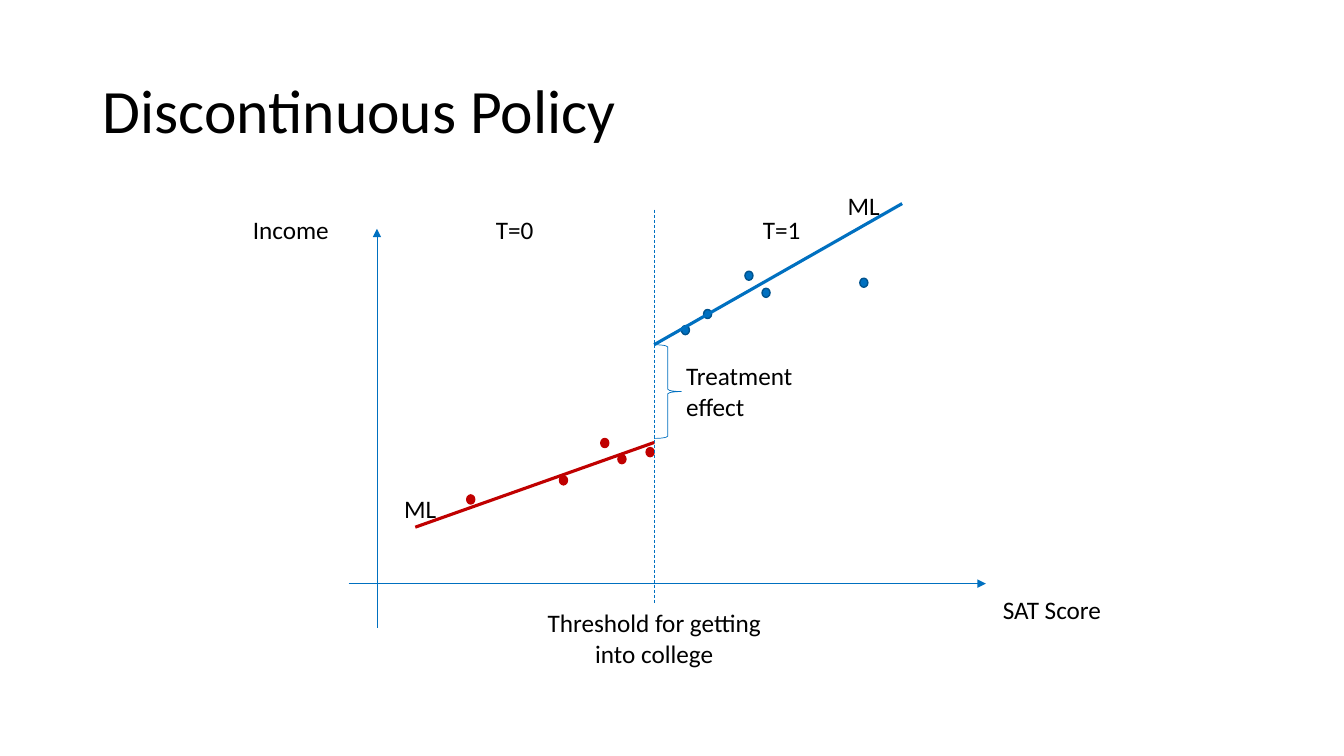
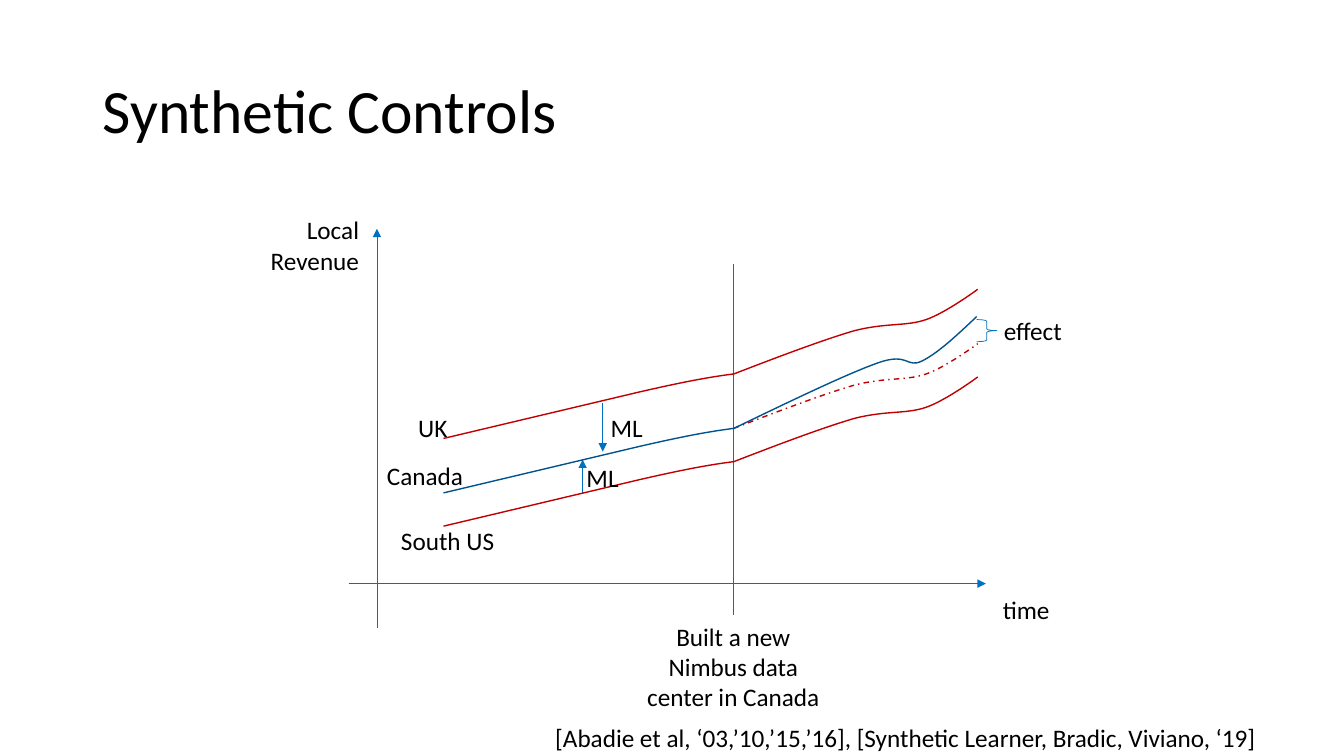
from lxml.etree import SubElement
from pptx import Presentation
from pptx.dml.color import RGBColor
from pptx.enum.dml import MSO_LINE
from pptx.enum.shapes import MSO_CONNECTOR, MSO_SHAPE
from pptx.enum.text import MSO_ANCHOR, PP_ALIGN
from pptx.oxml.ns import qn
from pptx.util import Pt

PX = 9144
FONT = "Calibri"
BLACK, BLUE, NAVY, RED = "000000", "0070C0", "00538E", "C00000"
LEFT, CENTER, RIGHT = PP_ALIGN.LEFT, PP_ALIGN.CENTER, PP_ALIGN.RIGHT
LINE_HEIGHT = 40
color = RGBColor.from_string


def write(page, text, left, top, width, height, align=LEFT, size=18):
    box = page.shapes.add_textbox(left * PX, top * PX, width * PX, height * PX)
    box.text_frame.word_wrap = width > 120
    para = box.text_frame.paragraphs[0]
    para.alignment = align
    span = para.add_run()
    span.text = text
    span.font.name = FONT
    span.font.size = Pt(size)
    span.font.color.rgb = color(BLACK)
    return box


def connect(page, x1, y1, x2, y2, hue=BLUE, weight=0.5, dash=None, arrow=False):
    connector = page.shapes.add_connector(
        MSO_CONNECTOR.STRAIGHT, x1 * PX, y1 * PX, x2 * PX, y2 * PX)
    connector.line.color.rgb = color(hue)
    connector.line.width = Pt(weight)
    if dash:
        connector.line.dash_style = dash
    properties = connector._element.spPr
    if arrow:
        SubElement(properties.find(qn("a:ln")), qn("a:tailEnd"), type="triangle")
    SubElement(properties, qn("a:effectLst"))


deck = Presentation()
deck.slide_width, deck.slide_height = 4000 * PX // 3, 750 * PX

pages = []
for title in ("Discontinuous Policy", "Synthetic Controls"):
    page = deck.slides.add_slide(deck.slide_layouts[6])
    heading = write(page, title, 92, 40, 1150, 145, size=44).text_frame
    heading.vertical_anchor = MSO_ANCHOR.MIDDLE
    heading.paragraphs[0].line_spacing = 0.9
    connect(page, 346, 579, 978, 579, arrow=True)
    connect(page, 374, 623, 374, 227, arrow=True)
    pages.append(page)
policy, controls = pages

dot_groups = [
    (RED, RED, [(463, 491), (596, 435), (613, 451), (641, 444), (555, 472)]),
    (BLUE, NAVY, [(676, 323), (739, 269), (756, 286), (853, 276), (698, 307)]),
]
for fill, outline, corners in dot_groups:
    for left, top in corners:
        dot = policy.shapes.add_shape(
            MSO_SHAPE.OVAL, left * PX, top * PX, 8 * PX, 9 * PX)
        dot.shadow.inherit = False
        dot.fill.solid()
        dot.fill.fore_color.rgb = color(fill)
        dot.line.color.rgb = color(outline)
        dot.line.width = Pt(1)

connect(policy, 649, 208, 649, 598, dash=MSO_LINE.DASH)
connect(policy, 649, 342, 895, 202, weight=2.25)
connect(policy, 412, 523, 649, 439, RED, 2.25)

connect(controls, 728, 262, 728, 610)
connect(controls, 598, 400, 598, 448, arrow=True)
connect(controls, 578, 489, 578, 456, arrow=True)

before = [(440, 64), (634, 18), (682, 7), (705, 3), (728, 0)]
after = [(728, 0), (772, -17), (817, -34), (848, -43),
         (880, -51), (899, -47), (919, -54),
         (939, -61), (970, -84), (970, -84)]
treated = [(728, 0), (784, -27), (840, -54), (871, -65),
           (902, -76), (899, -59), (915, -67),
           (931, -75), (950, -93), (969, -111)]
curves = [
    (458, before, RED, None),
    (425, before, NAVY, None),
    (371, before, RED, None),
    (371, after, RED, None),
    (458, after, RED, None),
    (425, after, RED, MSO_LINE.DASH_DOT),
    (425, treated, NAVY, None),
]
for base, offsets, hue, dash in curves:
    points = [(x * PX, (base + y) * PX) for x, y in offsets]
    builder = controls.shapes.build_freeform(*points[0])
    builder.add_line_segments(points[1:], close=False)
    curve = builder.convert_to_shape()
    segments = list(curve._element.iter(qn("a:lnTo")))
    for first in range(len(segments) % 3, len(segments), 3):
        outline = segments[first].getparent()
        bezier = SubElement(outline, qn("a:cubicBezTo"))
        for segment in segments[first:first + 3]:
            bezier.append(segment[0])
            outline.remove(segment)
    curve.shadow.inherit = False
    curve.fill.background()
    curve.line.color.rgb = color(hue)
    curve.line.width = Pt(1)
    if dash:
        curve.line.dash_style = dash

for page, left, top, width, height in (
        (policy, 649, 342, 27, 93), (controls, 969, 317, 20, 22)):
    brace = page.shapes.add_shape(
        MSO_SHAPE.RIGHT_BRACE, left * PX, top * PX, width * PX, height * PX)
    brace.shadow.inherit = False
    brace.fill.background()
    brace.line.color.rgb = color(BLUE)
    brace.line.width = Pt(0.5)

labels = [
    (policy, "SAT Score", 985, 585, 119, LINE_HEIGHT, LEFT),
    (policy, "Income", 241, 208, 96, LINE_HEIGHT, LEFT),
    (policy, "Threshold for getting into college", 525, 598, 248, 71, CENTER),
    (policy, "T=1", 747, 208, 58, LINE_HEIGHT, LEFT),
    (policy, "T=0", 482, 208, 58, LINE_HEIGHT, LEFT),
    (policy, "Treatment effect", 671, 353, 133, 71, LEFT),
    (policy, "ML", 831, 184, 52, LINE_HEIGHT, LEFT),
    (policy, "ML", 391, 484, 52, LINE_HEIGHT, LEFT),
    (controls, "time", 985, 585, 67, LINE_HEIGHT, LEFT),
    (controls, "Local Revenue", 241, 208, 125, 71, RIGHT),
    (controls, "effect", 986, 308, 79, LINE_HEIGHT, LEFT),
    (controls, "Built a new Nimbus data center in Canada", 629, 611, 197, 101, CENTER),
    (controls, "ML", 596, 404, 52, LINE_HEIGHT, LEFT),
    (controls, "ML", 572, 454, 52, LINE_HEIGHT, LEFT),
    (controls, "UK", 405, 404, 49, LINE_HEIGHT, LEFT),
    (controls, "South US", 388, 516, 114, LINE_HEIGHT, LEFT),
    (controls, "Canada", 374, 452, 97, LINE_HEIGHT, LEFT),
    (controls, "[Abadie et al, ‘03,’10,’15,’16], [Synthetic Learner, Bradic, Viviano, ‘19]",
     541, 712, 728, LINE_HEIGHT, LEFT),
]
for label in labels:
    write(*label)

deck.save("out.pptx")
